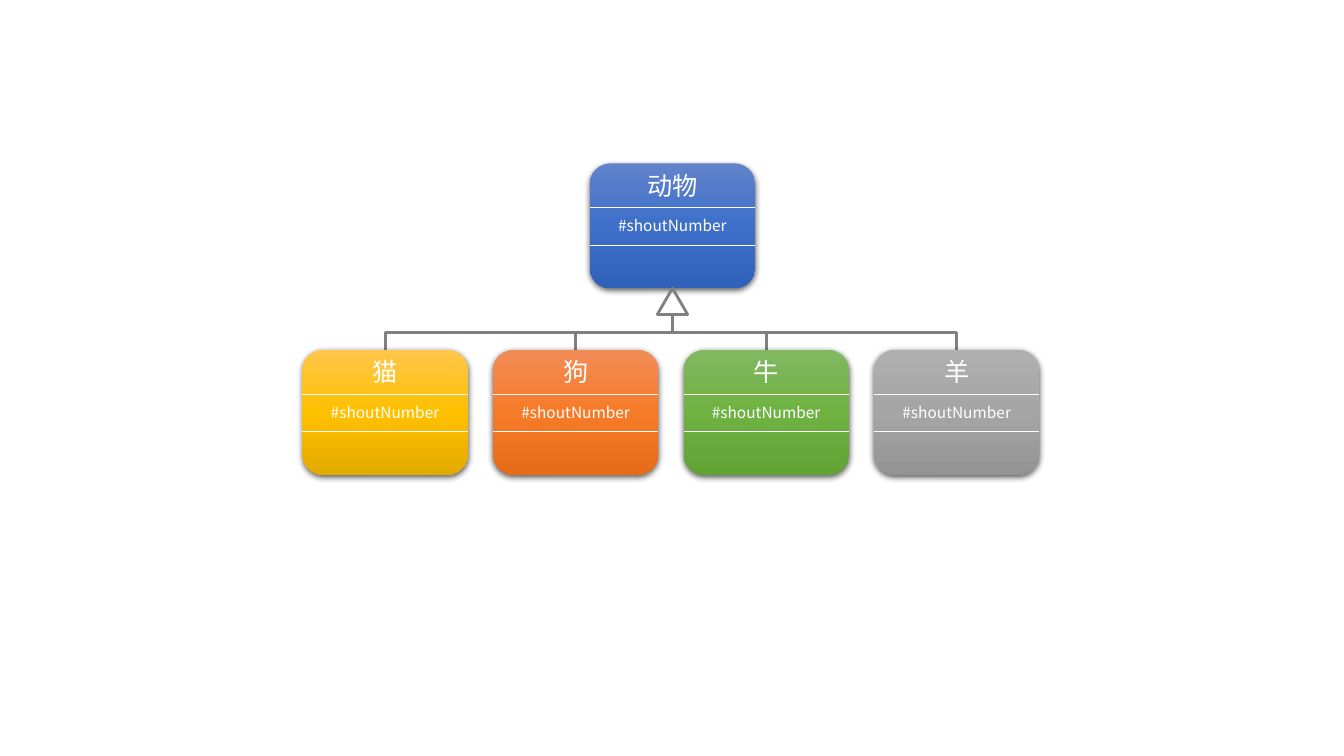
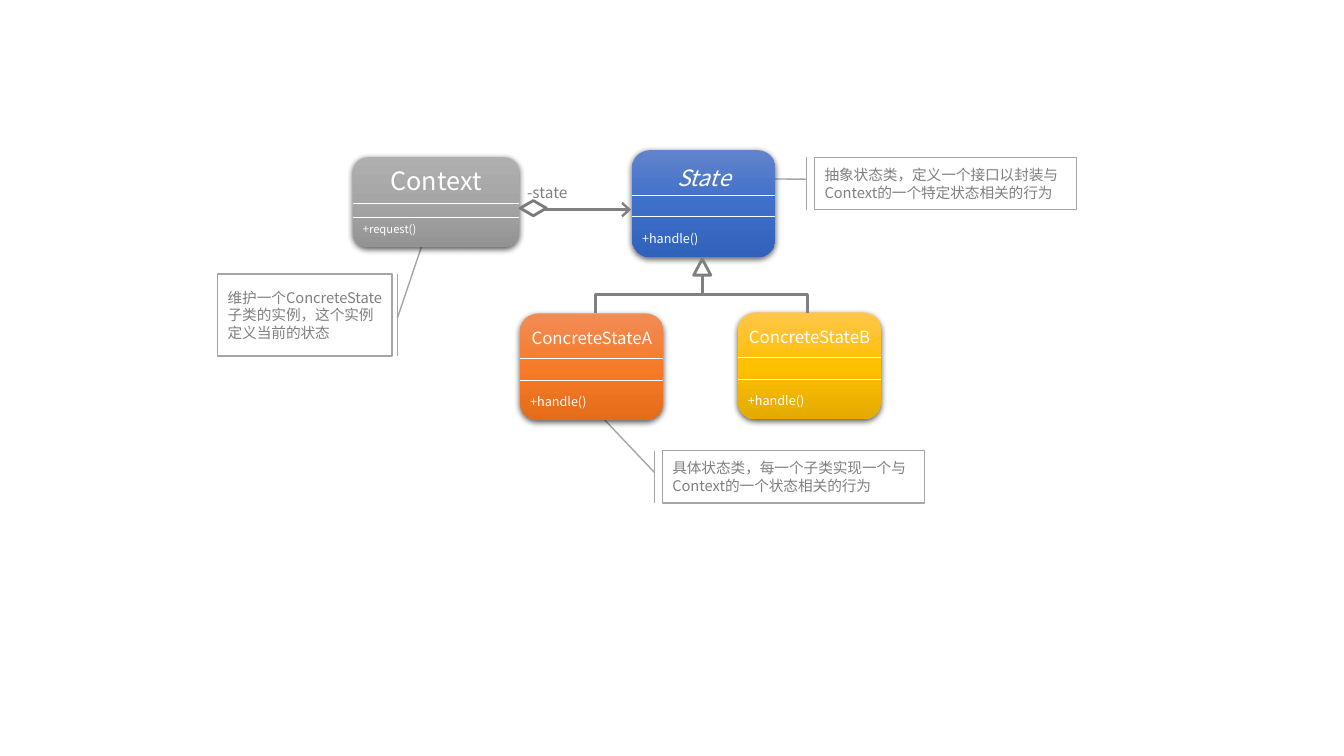
from copy import deepcopy
from dataclasses import dataclass

from lxml import etree
from pptx import Presentation
from pptx.dml.color import RGBColor
from pptx.enum.shapes import MSO_CONNECTOR, MSO_SHAPE
from pptx.enum.text import MSO_ANCHOR, MSO_AUTO_SIZE, PP_ALIGN
from pptx.oxml.ns import qn
from pptx.util import Inches, Pt

STRAIGHT, ELBOW = MSO_CONNECTOR.STRAIGHT, MSO_CONNECTOR.ELBOW
ROUNDED, TRIANGLE, DIAMOND = (
    MSO_SHAPE.ROUNDED_RECTANGLE, MSO_SHAPE.ISOSCELES_TRIANGLE, MSO_SHAPE.DIAMOND)
CALLOUT = MSO_SHAPE.LINE_CALLOUT_1_BORDER_AND_ACCENT_BAR
LEFT, CENTER = PP_ALIGN.LEFT, PP_ALIGN.CENTER
TOP, MIDDLE = MSO_ANCHOR.TOP, MSO_ANCHOR.MIDDLE


@dataclass(frozen=True)
class Theme:
    font: str = "Noto Sans CJK SC"
    white: str = "FFFFFF"
    ink: str = "808080"
    diamond: str = "7A7A7A"
    border: str = "A5A5A5"
    shadow: str = "000000"
    blue: tuple = ("6183CB", "3E70CA", "3062BB")
    gold: tuple = ("FFC64B", "FFC000", "E3AB00")
    orange: tuple = ("F18C57", "F67B28", "E56C19")
    green: tuple = ("81B861", "6FB242", "62A336")
    gray: tuple = ("AFAFAF", "A5A5A5", "939393")
    label_size: float = 11
    note_size: float = 10.5
    divider: float = 0.5
    border_width: float = 1
    relation: float = 2


@dataclass(frozen=True)
class ClassStyle:
    """Box size and the offsets of its parts from the top of the box."""
    width: float
    height: float
    dividers: tuple
    name_top: float
    name_size: float
    member_top: float
    member_size: float
    member_align: object = LEFT


THEME = Theme()
ANIMAL = ClassStyle(1.64, 1.24, (0.44, 0.81), 0.02, 18, 0.48, THEME.label_size, CENTER)
CONTEXT = ClassStyle(1.65, 0.89, (0.46, 0.60), 0.03, 18, 0.60, 8)
STATE = ClassStyle(1.42, 1.06, (0.45, 0.66), 0.09, 16, 0.75, 9)
CONCRETE = ClassStyle(1.42, 1.06, (0.45, 0.66), 0.09, 12, 0.75, 9)

MEMBER = "#shoutNumber"
ANIMALS = [("猫", THEME.gold), ("狗", THEME.orange), ("牛", THEME.green), ("羊", THEME.gray)]
ANIMAL_LEFT, ANIMAL_TOP, ANIMAL_STEP = 3, 3.47, 1.89

# name, member, left, top, colours, style, italic name
STATE_CLASSES = [
    ("State", "+handle()", 6.27, 1.49, THEME.blue, STATE, True),
    ("ConcreteStateA", "+handle()", 5.16, 3.11, THEME.orange, CONCRETE, False),
    ("ConcreteStateB", "+handle()", 7.32, 3.10, THEME.gold, CONCRETE, False),
    ("Context", "+request()", 3.50, 1.56, THEME.gray, CONTEXT, False),
]
# text, (left, top, width, height), leader as y, x, y, x in shares of the box
NOTES = [
    ("维护一个ConcreteState子类的实例，这个实例定义当前的状态",
     (2.16, 2.72, 1.73, 0.81), (0.54, 1.03, -0.41, 1.18)),
    ("具体状态类，每一个子类实现一个与Context的一个状态相关的行为",
     (6.57, 4.47, 2.60, 0.52), (0.42, -0.03, -0.69, -0.24)),
    ("抽象状态类，定义一个接口以封装与Context的一个特定状态相关的行为",
     (8.08, 1.56, 2.60, 0.52), (0.42, -0.03, 0.41, -0.28)),
]


def rgb(color):
    return RGBColor.from_string(color)


def inches(*lengths):
    return [Inches(length) for length in lengths]


def write(box, text, *, size, color, align=LEFT, italic=False, anchor=TOP, wrap=True):
    frame = box.text_frame
    frame.word_wrap = wrap
    frame.vertical_anchor = anchor
    para = frame.paragraphs[0]
    para.alignment = align
    span = para.add_run()
    span.text = text
    font = span.font
    font.name, font.size, font.italic = THEME.font, Pt(size), italic
    font.color.rgb = rgb(color)
    latin = font._element.find(qn("a:latin"))
    east_asian = etree.Element(qn("a:ea"), typeface=THEME.font)
    latin.addnext(east_asian)


def add_label(shapes, text, left, top, width, *, size, **style):
    height = size / 60 + 0.1
    box = shapes.add_textbox(*inches(left, top, width, height))
    write(box, text, size=size, **style)
    box.text_frame.auto_size = MSO_AUTO_SIZE.SHAPE_TO_FIT_TEXT


def add_line(shapes, start, end, *, color=THEME.ink, width=THEME.relation, kind=STRAIGHT):
    line = shapes.add_connector(kind, *inches(*start, *end))
    line.line.color.rgb = rgb(color)
    line.line.width = Pt(width)
    etree.SubElement(line._element.spPr, qn("a:effectLst"))
    return line


def add_outline(page, kind, left, top, width, height, color=THEME.ink):
    shape = page.shapes.add_shape(kind, *inches(left, top, width, height))
    shape.shadow.inherit = False
    shape.fill.background()
    shape.line.color.rgb = rgb(color)
    shape.line.width = Pt(THEME.relation)


def add_branch(page, child, parent):
    """Elbow that leaves the child upwards, runs across and rises to the parent."""
    (child_x, child_y), (parent_x, parent_y) = child, parent
    middle_x, middle_y = (child_x + parent_x) / 2, (child_y + parent_y) / 2
    half_rise, half_run = (child_y - parent_y) / 2, (parent_x - child_x) / 2
    # The elbow is laid out lying down, then turned a quarter to the left.
    branch = add_line(page.shapes, (middle_x - half_rise, middle_y - half_run),
                      (middle_x + half_rise, middle_y + half_run), kind=ELBOW)
    branch._element.spPr.find(qn("a:xfrm")).set("rot", str(270 * 60000))


def add_open_arrow(page, start, end):
    arrow = add_line(page.shapes, start, end)
    outline = arrow._element.spPr.find(qn("a:ln"))
    etree.SubElement(outline, qn("a:tailEnd"), type="arrow", w="lg", len="med")


def fill_gradient(shape, colors):
    shape.fill.gradient()
    shape.fill.gradient_angle = 270
    stop_list = shape._element.spPr.find(".//" + qn("a:gsLst"))
    stop_list.append(deepcopy(stop_list[0]))
    for stop, position, color in zip(shape.fill.gradient_stops, (0, 0.5, 1), colors):
        stop.position = position
        stop.color.rgb = rgb(color)


def drop_shadow(shape):
    shape.shadow.inherit = False
    effects = shape._element.spPr.find(qn("a:effectLst"))
    shadow = etree.SubElement(
        effects, qn("a:outerShdw"), blurRad=str(Pt(4.5)), dist=str(Pt(1.5)),
        dir=str(90 * 60000), algn="ctr", rotWithShape="0")
    color = etree.SubElement(shadow, qn("a:srgbClr"), val=THEME.shadow)
    etree.SubElement(color, qn("a:alpha"), val="63000")


def add_class(page, name, member, left, top, colors, style, italic=False):
    shapes = page.shapes.add_group_shape().shapes
    body = shapes.add_shape(ROUNDED, *inches(left, top, style.width, style.height))
    fill_gradient(body, colors)
    body.line.fill.background()
    drop_shadow(body)
    for offset in style.dividers:
        add_line(shapes, (left, top + offset), (left + style.width, top + offset),
                 color=THEME.white, width=THEME.divider)
    add_label(shapes, name, left, top + style.name_top, style.width,
              size=style.name_size, color=THEME.white, align=CENTER, italic=italic)
    add_label(shapes, member, left, top + style.member_top, style.width,
              size=style.member_size, color=THEME.white, align=style.member_align)


def add_note(page, text, place, leader):
    note = page.shapes.add_shape(CALLOUT, *inches(*place))
    for index, share in enumerate(leader):
        note.adjustments[index] = share
    note.shadow.inherit = False
    note.fill.solid()
    note.fill.fore_color.rgb = rgb(THEME.white)
    note.line.color.rgb = rgb(THEME.border)
    note.line.width = Pt(THEME.border_width)
    write(note, text, size=THEME.note_size, color=THEME.ink, anchor=MIDDLE)


def build_animals(page):
    add_class(page, "动物", MEMBER, 5.85, 1.62, THEME.blue, ANIMAL)
    add_outline(page, TRIANGLE, 6.52, 2.86, 0.30, 0.26)
    for index, (name, colors) in enumerate(ANIMALS):
        left = ANIMAL_LEFT + index * ANIMAL_STEP
        add_branch(page, (left + ANIMAL.width / 2, ANIMAL_TOP), (6.67, 3.12))
        add_class(page, name, MEMBER, left, ANIMAL_TOP, colors, ANIMAL)


def build_state_pattern(page):
    for note in NOTES:
        add_note(page, *note)
    for entry in STATE_CLASSES:
        add_class(page, *entry)
    for child_x in (5.91, 8.01):
        add_branch(page, (child_x, 3.11), (6.97, 2.73))
    add_outline(page, TRIANGLE, 6.88, 2.57, 0.17, 0.16)
    add_open_arrow(page, (5.41, 2.08), (6.26, 2.08))
    add_outline(page, DIAMOND, 5.16, 1.99, 0.26, 0.15, THEME.diamond)
    add_label(page.shapes, "-state", 5.13, 1.77, 0.60,
              size=THEME.label_size, color=THEME.ink, wrap=False)


def main():
    deck = Presentation()
    deck.slide_width, deck.slide_height = inches(13.33, 7.5)
    blank = deck.slide_layouts.get_by_name("Blank")
    for build in (build_animals, build_state_pattern):
        build(deck.slides.add_slide(blank))
    deck.save("out.pptx")


if __name__ == "__main__":
    main()
